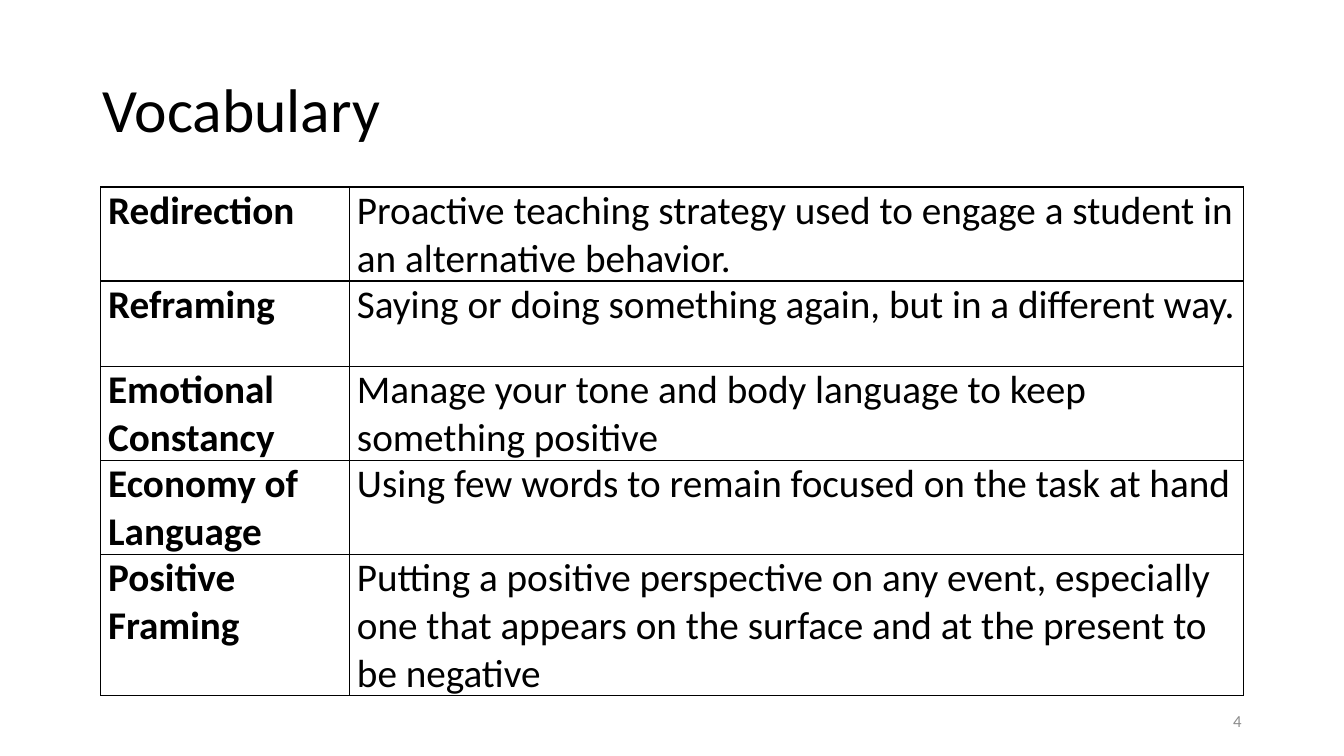
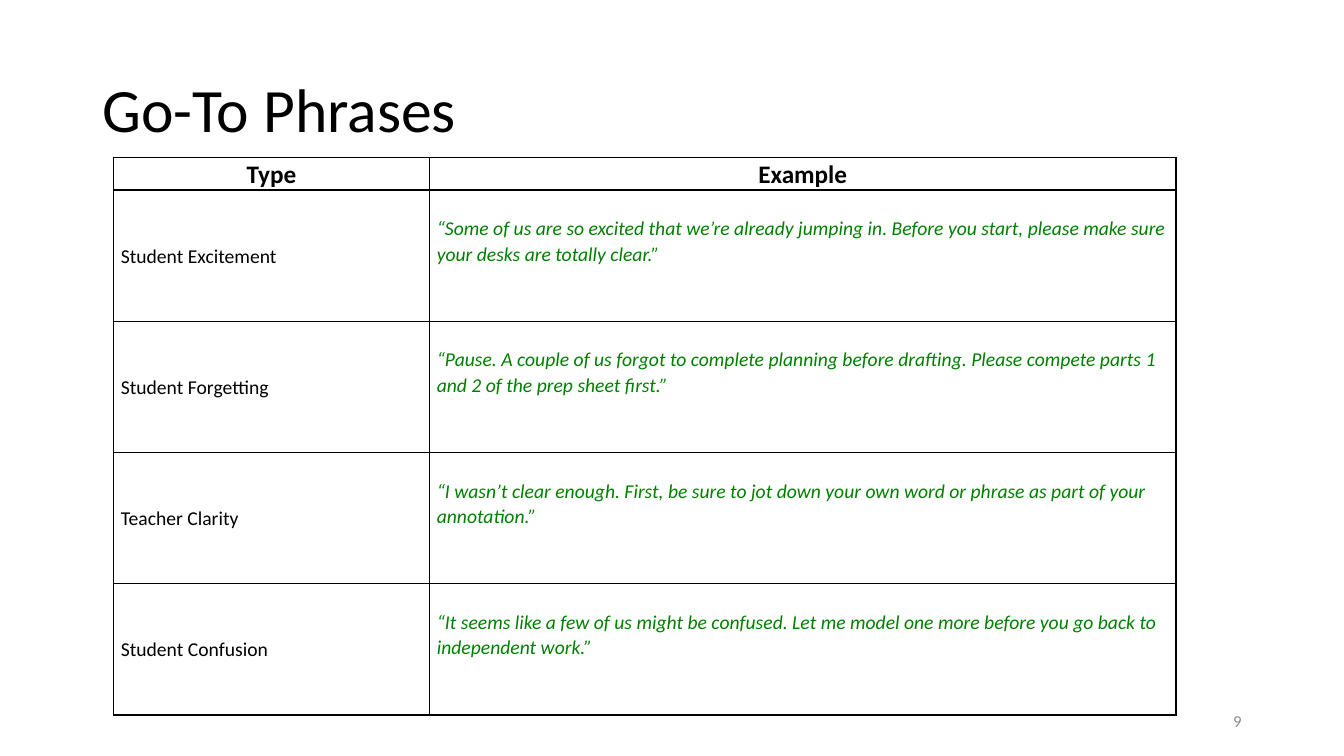
from dataclasses import dataclass

import lxml.etree
import pptx
import pptx.dml.color
import pptx.enum.text
import pptx.oxml.ns
import pptx.util

ALIGN = pptx.enum.text.PP_ALIGN
ANCHOR = pptx.enum.text.MSO_ANCHOR
EMU_PER_PX = 9525
FONT = "Calibri"
BLACK, GREEN, GRAY = "000000", "008000", "8C8C8C"
CELL_SIDE_MARGIN = 7
BORDER_POINTS = 1


@dataclass(frozen=True)
class Style:
    size: int
    color: str = BLACK
    bold: bool = False
    italic: bool = False
    align: ALIGN = ALIGN.LEFT
    anchor: ANCHOR = ANCHOR.TOP
    line_spacing: float = 1.0
    top_margin: int = 0


@dataclass(frozen=True)
class Row:
    texts: tuple[str, ...]
    styles: tuple[Style, ...]
    height: int


@dataclass(frozen=True)
class Grid:
    left: int
    top: int
    widths: tuple[int, ...]
    rows: list[Row]


TITLE = Style(44, anchor=ANCHOR.MIDDLE, line_spacing=0.9)
PAGE_NUMBER = Style(12, GRAY, align=ALIGN.RIGHT, anchor=ANCHOR.MIDDLE)
TERM = Style(28, bold=True)
MEANING = Style(28)
HEADING = Style(18, bold=True, align=ALIGN.CENTER, line_spacing=1.07)
KIND = Style(14, anchor=ANCHOR.MIDDLE, line_spacing=1.07)
PHRASE = Style(14, GREEN, italic=True, line_spacing=1.07, top_margin=24)

VOCABULARY = [
    ("Redirection", "Proactive teaching strategy used to engage a student in an alternative behavior."),
    ("Reframing", "Saying or doing something again, but in a different way."),
    ("Emotional Constancy", "Manage your tone and body language to keep something positive"),
    ("Economy of Language", "Using few words to remain focused on the task at hand"),
    ("Positive Framing", "Putting a positive perspective on any event, especially one that appears "
                         "on the surface and at the present to be negative"),
]
PHRASES = [
    ("Student Excitement", "“Some of us are so excited that we’re already jumping in. Before you start, "
                           "please make sure your desks are totally clear.”"),
    ("Student Forgetting", "“Pause. A couple of us forgot to complete planning before drafting. "
                           "Please compete parts 1 and 2 of the prep sheet first.”"),
    ("Teacher Clarity", "“I wasn’t clear enough. First, be sure to jot down your own word or phrase "
                        "as part of your annotation.”"),
    ("Student Confusion", "“It seems like a few of us might be confused. Let me model one more "
                          "before you go back to independent work.”"),
]


def px(length: int) -> pptx.util.Emu:
    return pptx.util.Emu(length * EMU_PER_PX)


def rgb(color: str) -> pptx.dml.color.RGBColor:
    return pptx.dml.color.RGBColor.from_string(color)


def write(frame, text: str, style: Style) -> None:
    frame.word_wrap = True
    para = frame.paragraphs[0]
    para.text = text
    para.alignment = style.align
    para.line_spacing = style.line_spacing
    para.font.name = FONT
    para.font.size = pptx.util.Pt(style.size)
    para.font.bold = style.bold
    para.font.italic = style.italic
    para.font.color.rgb = rgb(style.color)


def add_text(page, left: int, top: int, width: int, height: int, text: str, style: Style) -> None:
    box = page.shapes.add_textbox(px(left), px(top), px(width), px(height))
    box.text_frame.vertical_anchor = style.anchor
    write(box.text_frame, text, style)


def add_borders(cell) -> None:
    qn = pptx.oxml.ns.qn
    properties = cell._tc.get_or_add_tcPr()
    for side in ("a:lnL", "a:lnR", "a:lnT", "a:lnB"):
        line = lxml.etree.SubElement(properties, qn(side), w=str(pptx.util.Pt(BORDER_POINTS)))
        fill = lxml.etree.SubElement(line, qn("a:solidFill"))
        lxml.etree.SubElement(fill, qn("a:srgbClr"), val=BLACK)


def add_grid(page, grid: Grid) -> None:
    total_height = sum(row.height for row in grid.rows)
    table = page.shapes.add_table(
        len(grid.rows), len(grid.widths), px(grid.left), px(grid.top),
        px(sum(grid.widths)), px(total_height)).table
    table.first_row = table.horz_banding = False
    for column, width in zip(table.columns, grid.widths):
        column.width = px(width)
    for table_row, row in zip(table.rows, grid.rows):
        table_row.height = px(row.height)
        for cell, text, style in zip(table_row.cells, row.texts, row.styles):
            cell.margin_left = cell.margin_right = px(CELL_SIDE_MARGIN)
            cell.margin_top, cell.margin_bottom = px(style.top_margin), px(0)
            cell.vertical_anchor = style.anchor
            add_borders(cell)
            cell.fill.background()
            write(cell.text_frame, text, style)


def add_page(deck, title: str, number: int, grid: Grid) -> None:
    page = deck.slides.add_slide(deck.slide_layouts[6])
    add_text(page, 88, 38, 1104, 139, title, TITLE)
    add_grid(page, grid)
    add_text(page, 904, 667, 288, 38, str(number), PAGE_NUMBER)


def main() -> None:
    deck = pptx.Presentation()
    deck.slide_width, deck.slide_height = px(1280), px(720)

    vocabulary_rows = [Row(texts, (TERM, MEANING), 81) for texts in VOCABULARY]
    add_page(deck, "Vocabulary", 4, Grid(96, 178, (237, 851), vocabulary_rows))

    phrase_rows = [Row(("Type", "Example"), (HEADING, HEADING), 31)]
    phrase_rows += [Row(texts, (KIND, PHRASE), 125) for texts in PHRASES]
    add_page(deck, "Go-To Phrases", 9, Grid(108, 150, (301, 711), phrase_rows))

    deck.save("out.pptx")


if __name__ == "__main__":
    main()
